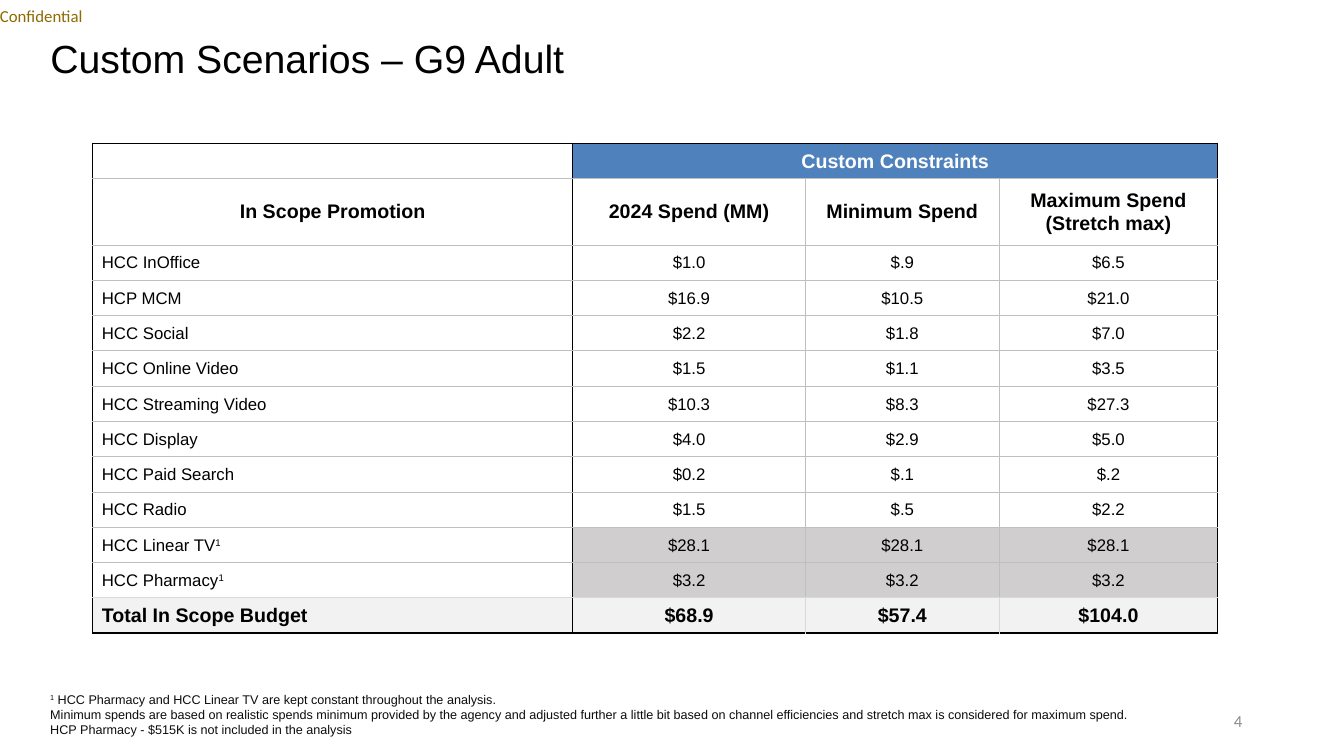
"""Build the custom scenarios slide with its budget table and footnotes."""
from dataclasses import dataclass
from typing import Any, NamedTuple

from lxml.etree import SubElement as Sub
from pptx import Presentation
from pptx.dml.color import RGBColor as Rgb
from pptx.enum.text import MSO_ANCHOR as Anchor, MSO_AUTO_SIZE as Fit, PP_ALIGN as Align
from pptx.oxml import parse_xml
from pptx.oxml.ns import nsdecls, qn
from pptx.util import Inches, Pt


@dataclass(frozen=True)
class Theme:
    black: str = "000000"
    white: str = "FFFFFF"
    ink: str = "0D0D0D"
    gold: str = "8E6A00"
    gray: str = "8C8C8C"
    blue: str = "4F81BD"
    fixed: str = "D0CECE"
    total: str = "F2F2F2"
    rule: str = "BFBFBF"
    pale: str = "D9D9D9"
    sans: str = "Arial"
    side: str = "Calibri"
    title: int = 28
    head: int = 14
    body: int = 12
    note: int = 9


class Face(NamedTuple):
    size: int
    color: str
    name: str
    bold: bool = False


class Label(NamedTuple):
    lines: list[str]
    box: tuple[float, float, float, float]
    face: Face
    align: Align = Align.LEFT
    anchor: Anchor = Anchor.MIDDLE
    inset: bool = True


class Row(NamedTuple):
    texts: list[str]
    face: Face
    high: float = 0.35
    fill: str | None = None


T = Theme()
HEAD = Face(T.head, T.black, T.sans, True)
BODY = Face(T.body, T.black, T.sans)
COLS = [4.76, 2.31, 1.92, 2.17]
ROWS = [
    Row(["", "Custom Constraints", "", ""], HEAD._replace(color=T.white), fill=T.blue),
    Row(["In Scope Promotion", "2024 Spend (MM)", "Minimum Spend",
         "Maximum Spend\n(Stretch max)"], HEAD, 0.66),
    Row(["HCC InOffice", "$1.0", "$.9", "$6.5"], BODY),
    Row(["HCP MCM", "$16.9", "$10.5", "$21.0"], BODY),
    Row(["HCC Social", "$2.2", "$1.8", "$7.0"], BODY),
    Row(["HCC Online Video", "$1.5", "$1.1", "$3.5"], BODY),
    Row(["HCC Streaming Video", "$10.3", "$8.3", "$27.3"], BODY),
    Row(["HCC Display", "$4.0", "$2.9", "$5.0"], BODY),
    Row(["HCC Paid Search", "$0.2", "$.1", "$.2"], BODY),
    Row(["HCC Radio", "$1.5", "$.5", "$2.2"], BODY),
    Row(["HCC Linear TV^1^", "$28.1", "$28.1", "$28.1"], BODY, fill=T.fixed),
    Row(["HCC Pharmacy^1^", "$3.2", "$3.2", "$3.2"], BODY, fill=T.fixed),
    Row(["Total In Scope Budget", "$68.9", "$57.4", "$104.0"], HEAD, fill=T.total),
]
LAST = len(ROWS) - 1
LABELS = [
    Label(["Confidential"], (0, 0, 1.17, 0.32), Face(T.body, T.gold, T.side), inset=False),
    Label(["4"], (9.42, 6.95, 3, 0.4), Face(T.body, T.gray, T.side), Align.RIGHT),
    Label(["^1^ HCC Pharmacy and HCC Linear TV are kept constant throughout the analysis.",
           "Minimum spends are based on realistic spends minimum provided by the agency and "
           "adjusted further a little bit based on channel efficiencies and stretch max is "
           "considered for maximum spend.",
           "HCP Pharmacy - $515K is not included in the analysis"],
          (0.4, 6.81, 12, 0.71), Face(T.note, T.ink, T.sans), anchor=Anchor.TOP),
]


def apply(item: Any, form: dict[str, Any]) -> None:
    """Set each format value on the item."""
    for key, val in form.items():
        setattr(item, key, val)


def write(frame: Any, lines: list[str], face: Face, align: Align) -> None:
    """Fill a text frame, raising the parts set between carets."""
    for num, line in enumerate(lines):
        para = frame.add_paragraph() if num else frame.paragraphs[0]
        para.alignment = align
        for part, text in enumerate(line.split("^")):
            if not text:
                continue
            run = para.add_run()
            run.text = text
            apply(run.font, {"size": Pt(face.size), "name": face.name, "bold": face.bold})
            run.font.color.rgb = Rgb.from_string(face.color)
            if part % 2:
                run._r.get_or_add_rPr().set("baseline", "30000")


def put_label(slide: Any, label: Label) -> None:
    """Add one text box."""
    frame = slide.shapes.add_textbox(*map(Inches, label.box)).text_frame
    apply(frame, {"word_wrap": True, "vertical_anchor": label.anchor})
    if not label.inset:
        apply(frame, {f"margin_{side}": 0 for side in ("left", "top", "right", "bottom")})
    write(frame, label.lines, label.face, label.align)


def put_title(slide: Any, text: str) -> None:
    """Place and format the title."""
    title = slide.shapes.title
    apply(title, dict(zip(("left", "top", "width", "height"),
                          map(Inches, (0.4, 0.4, 12, 0.4)))))
    apply(title.text_frame, {"auto_size": Fit.NONE, "word_wrap": True,
                             "vertical_anchor": Anchor.MIDDLE})
    write(title.text_frame, [text], Face(T.title, T.black, T.sans), Align.LEFT)
    title.text_frame.paragraphs[0].line_spacing = 0.9


def edge(cell: Any, row: int, col: int) -> None:
    """Draw the four borders of a cell by its place in the grid."""
    inner = T.pale if row == LAST else T.rule
    below = T.pale if row == LAST - 1 else inner
    sides = [("L", col < 2, inner), ("R", col in (0, 3) or row == 0, inner),
             ("T", row == 0, inner), ("B", row == LAST, below)]
    props = cell._tc.get_or_add_tcPr()
    for spot, (side, strong, soft) in enumerate(sides):
        line = parse_xml(f"<a:ln{side} {nsdecls('a')}/>")
        line.set("w", str(Pt(1 if strong else 0.5)))
        fill = Sub(line, qn("a:solidFill"))
        Sub(fill, qn("a:srgbClr")).set("val", T.black if strong else soft)
        props.insert(spot, line)


def put_cell(cell: Any, row: int, col: int) -> None:
    """Write, fill and border one cell."""
    data = ROWS[row]
    left = col == 0 and row > 1
    apply(cell, {"margin_left": Inches(0.09 if left else 0.01), "margin_top": Inches(0.01),
                 "margin_right": Inches(0.01), "margin_bottom": 0,
                 "vertical_anchor": Anchor.MIDDLE})
    write(cell.text_frame, data.texts[col].split("\n"), data.face,
          Align.LEFT if left else Align.CENTER)
    if data.fill and (col or row == LAST):
        cell.fill.solid()
        cell.fill.fore_color.rgb = Rgb.from_string(data.fill)
    else:
        cell.fill.background()
    edge(cell, row, col)


def put_table(slide: Any) -> None:
    """Add the budget table."""
    high = sum(row.high for row in ROWS)
    box = map(Inches, (0.92, 1.42, sum(COLS), high))
    table = slide.shapes.add_table(len(ROWS), len(COLS), *box).table
    apply(table, {"first_row": False, "horz_banding": False})
    for col, wide in enumerate(COLS):
        table.columns[col].width = Inches(wide)
    for row, data in enumerate(ROWS):
        table.rows[row].height = Inches(data.high)
        for col in range(len(COLS)):
            put_cell(table.cell(row, col), row, col)
    table.cell(0, 1).merge(table.cell(0, 3))


def main() -> None:
    """Build and save the deck."""
    deck = Presentation()
    apply(deck, {"slide_width": Inches(13.33), "slide_height": Inches(7.5)})
    slide = deck.slides.add_slide(deck.slide_layouts[5])
    put_title(slide, "Custom Scenarios – G9 Adult")
    for label in LABELS:
        put_label(slide, label)
    put_table(slide)
    deck.save("out.pptx")


if __name__ == "__main__":
    main()
